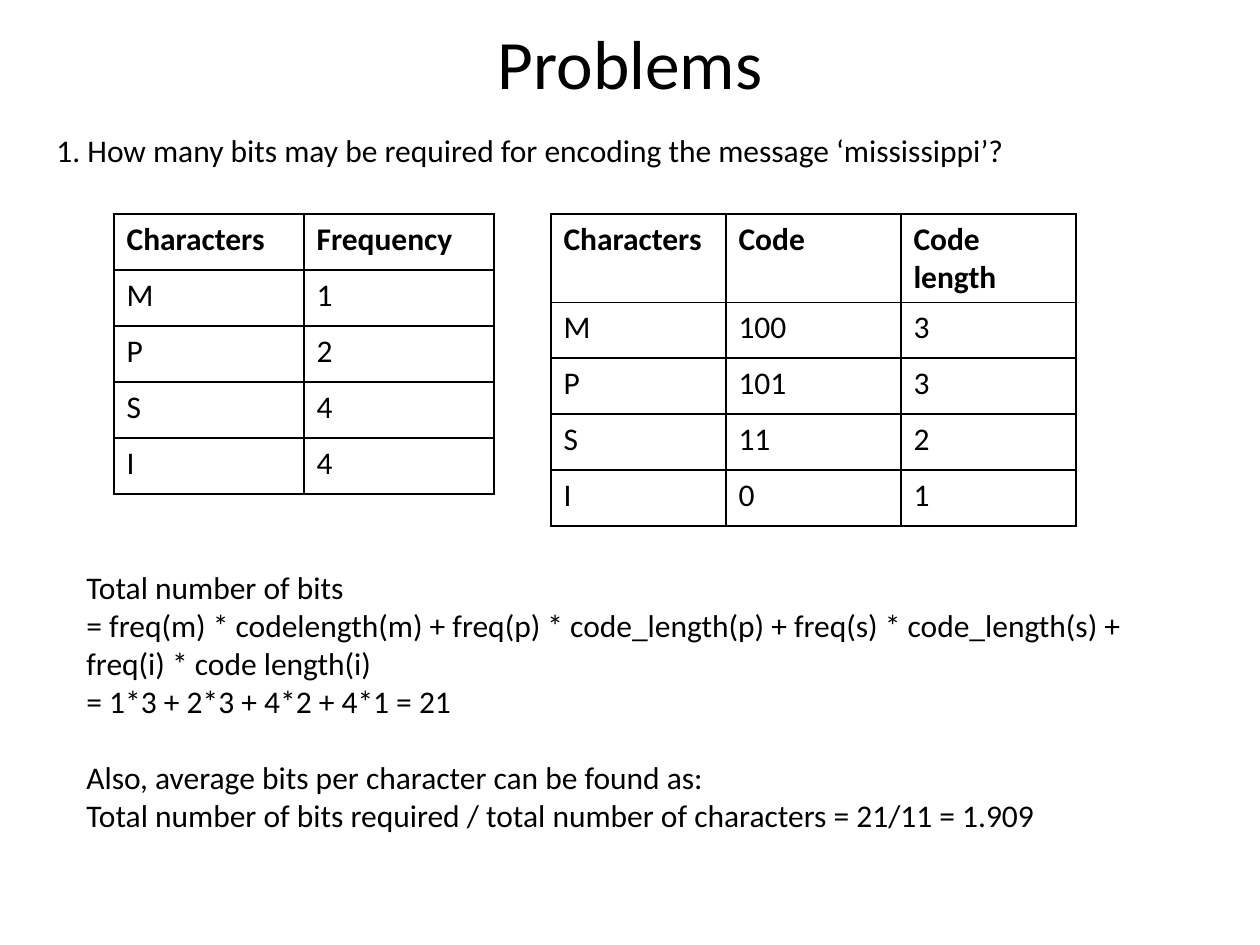
from lxml import etree
from pptx import Presentation
from pptx.dml.color import RGBColor
from pptx.enum.text import MSO_ANCHOR, PP_ALIGN
from pptx.oxml.ns import qn
from pptx.util import Pt

PX = 914400 // 126
BLACK = RGBColor(0, 0, 0)
FONT = "Calibri"
LEFT, CENTER = PP_ALIGN.LEFT, PP_ALIGN.CENTER
TOP, MIDDLE = MSO_ANCHOR.TOP, MSO_ANCHOR.MIDDLE
ROW_H = 56
TABLE_TOP = 214
BORDERS = ("a:lnL", "a:lnR", "a:lnT", "a:lnB")

TITLE = ["Problems"]
QUESTION = ["1. How many bits may be required for encoding the message ‘mississippi’?"]
SOLUTION = [
    "Total number of bits\n"
    "= freq(m) * codelength(m) + freq(p) * code_length(p) + freq(s) * code_length(s) + "
    "freq(i) * code length(i)\n"
    "= 1*3 + 2*3 + 4*2 + 4*1 = 21",
    "Also, average bits per character can be found as:\n"
    "Total number of bits required / total number of characters = 21/11 = 1.909",
]
# paragraphs, (left, top, width, height), size, alignment, anchor
TEXTS = [
    (TITLE, (63, 38, 1134, 48), 39.6, CENTER, MIDDLE),
    (QUESTION, (44, 125, 1131, 50), 18, LEFT, TOP),
    (SOLUTION, (74, 562, 1131, 280), 18, LEFT, TOP),
]
# left, column width, rows
TABLES = [
    (114, 190, [
        ("Characters", "Frequency"),
        ("M", "1"),
        ("P", "2"),
        ("S", "4"),
        ("I", "4"),
    ]),
    (551, 175, [
        ("Characters", "Code", "Code length"),
        ("M", "100", "3"),
        ("P", "101", "3"),
        ("S", "11", "2"),
        ("I", "0", "1"),
    ]),
]


def style_runs(p, size, bold=False):
    for r in p.runs:
        for name, value in {"name": FONT, "size": Pt(size), "bold": bold}.items():
            setattr(r.font, name, value)
        r.font.color.rgb = BLACK


def add_text(slide, paragraphs, box, size, align, anchor):
    tf = slide.shapes.add_textbox(*(v * PX for v in box)).text_frame
    tf.word_wrap = True
    tf.vertical_anchor = anchor
    for i, text in enumerate(paragraphs):
        p = tf.add_paragraph() if i else tf.paragraphs[0]
        p.text = text.replace("\n", "\v")
        p.alignment = align
        if i:
            p.space_before = Pt(22)
        style_runs(p, size)


def add_borders(cell):
    tc_pr = cell._tc.get_or_add_tcPr()
    for i, tag in enumerate(BORDERS):
        ln = etree.Element(qn(tag), w=str(Pt(1)))
        fill = etree.SubElement(ln, qn("a:solidFill"))
        etree.SubElement(fill, qn("a:srgbClr"), val=str(BLACK))
        tc_pr.insert(i, ln)


def add_grid(slide, left, col_w, rows):
    n_rows, n_cols = len(rows), len(rows[0])
    box = (left, TABLE_TOP, col_w * n_cols, ROW_H * n_rows)
    table = slide.shapes.add_table(n_rows, n_cols, *(v * PX for v in box)).table
    table.first_row = table.horz_banding = False
    for i, row in enumerate(rows):
        for j, text in enumerate(row):
            cell = table.cell(i, j)
            cell.text = text
            cell.fill.background()
            add_borders(cell)
            style_runs(cell.text_frame.paragraphs[0], 18, bold=i == 0)


def main():
    prs = Presentation()
    prs.slide_width, prs.slide_height = 1260 * PX, 945 * PX
    slide = prs.slides.add_slide(prs.slide_layouts[6])
    for text in TEXTS:
        add_text(slide, *text)
    for grid in TABLES:
        add_grid(slide, *grid)
    prs.save("out.pptx")


if __name__ == "__main__":
    main()
